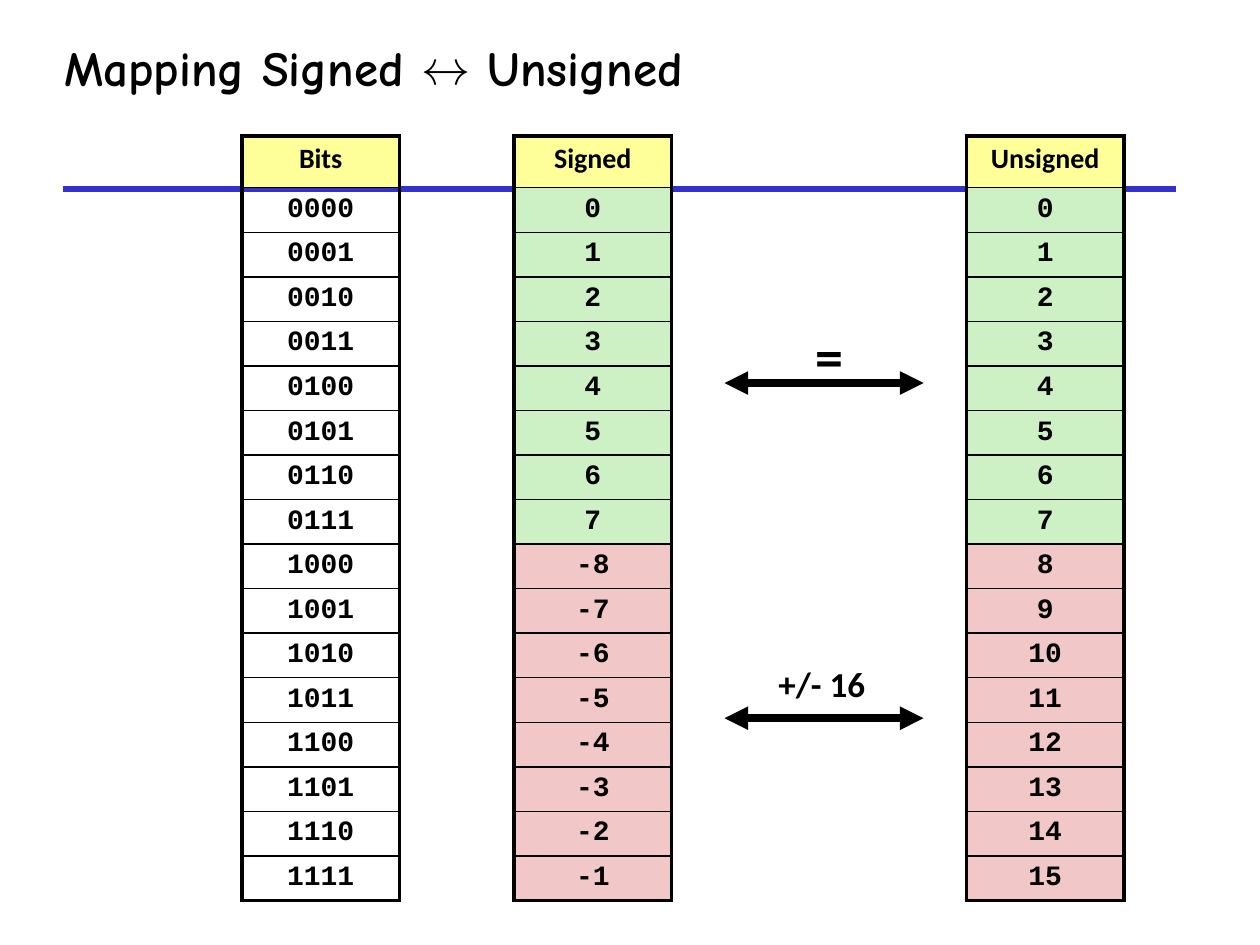
import pptx
import pptx.util
import pptx.oxml
import pptx.oxml.ns
from pptx.dml.color import RGBColor
from pptx.enum.shapes import MSO_CONNECTOR
from pptx.enum.text import MSO_ANCHOR, MSO_AUTO_SIZE, PP_ALIGN
from pptx.util import Inches

BLACK = RGBColor(0x00, 0x00, 0x00)
BLUE = RGBColor(0x33, 0x33, 0xCC)
YELLOW = RGBColor(0xFF, 0xFF, 0x99)
GREEN = RGBColor(0xCD, 0xF1, 0xC5)
PINK = RGBColor(0xF1, 0xC7, 0xC7)
NS = pptx.oxml.ns.nsdecls("a")


def add_run(p, text, size, font):
    r = p.add_run()
    r.text = text
    r.font.size = pptx.util.Pt(size)
    r.font.name = font
    r.font.bold = True
    r.font.color.rgb = BLACK


def add_line(shapes, x1, x2, y, color, width):
    c = shapes.add_connector(MSO_CONNECTOR.STRAIGHT, Inches(x1), Inches(y), Inches(x2), Inches(y))
    c.line.color.rgb = color
    c.line.width = pptx.util.Pt(width)
    c._element.spPr.append(pptx.oxml.parse_xml(f"<a:effectLst {NS}/>"))
    return c


prs = pptx.Presentation()
prs.slide_width, prs.slide_height = Inches(10), Inches(7.5)
s = prs.slides.add_slide(prs.slide_layouts[6])

# Rule behind the tables
add_line(s.shapes, 0.5, 9.33, 1.5, BLUE, 3)

# Title
sp = s.shapes.add_textbox(Inches(0.44), Inches(0.27), Inches(7.46), Inches(0.61))
tf = sp.text_frame
tf.word_wrap = True
tf.margin_left = tf.margin_right = Inches(0.07)
tf.margin_top = tf.margin_bottom = Inches(0.03)
add_run(tf.paragraphs[0], "Mapping Signed ↔ Unsigned", 28, "Comic Neue")

# One single-column table per reading of the four bits
tables = [
    ("Signed", 4.08, [str(n if n < 8 else n - 16) for n in range(16)], (GREEN, PINK)),
    ("Unsigned", 7.67, [str(n) for n in range(16)], (GREEN, PINK)),
    ("Bits", 1.92, [f"{n:04b}" for n in range(16)], (None, None)),
]
for heading, left, values, (low_fill, high_fill) in tables:
    texts = [heading] + values
    last = len(texts) - 1
    tbl = s.shapes.add_table(len(texts), 1, Inches(left), Inches(1.08), Inches(1.25), Inches(6.12)).table
    tbl.first_row = tbl.horz_banding = False
    for i, text in enumerate(texts):
        tbl.rows[i].height = Inches(0.41 if i == 0 else 0.33)
        cell = tbl.cell(i, 0)
        cell.margin_left = cell.margin_right = Inches(0.05)
        cell.margin_top = cell.margin_bottom = Inches(0.05)

        # Heavy outside edges, thin lines between rows
        edges = {"L": 2.25, "R": 2.25, "T": 2.25 if i == 0 else 1, "B": 2.25 if i == last else 1}
        tc_pr = cell._tc.get_or_add_tcPr()
        for side, width in edges.items():
            tc_pr.append(pptx.oxml.parse_xml(
                f'<a:ln{side} {NS} w="{pptx.util.Pt(width)}"><a:solidFill>'
                f'<a:srgbClr val="{BLACK}"/></a:solidFill></a:ln{side}>'))

        fill = YELLOW if i == 0 else low_fill if i <= 8 else high_fill
        if fill is None:
            cell.fill.background()
        else:
            cell.fill.solid()
            cell.fill.fore_color.rgb = fill

        p = cell.text_frame.paragraphs[0]
        p.alignment = PP_ALIGN.CENTER
        p.line_spacing = 0.95
        p.space_before = pptx.util.Pt(0)
        space = p._p.pPr.find(pptx.oxml.ns.qn("a:spcBef"))
        space.remove(space[0])
        space.append(pptx.oxml.parse_xml(f'<a:spcPct {NS} val="50000"/>'))
        add_run(p, text, 16, "Calibri" if i == 0 else "Courier New")

# Double arrows with labels, each pair grouped
relations = [
    ("=", 32, 3.04, (6.42, 2.5, 0.32, 0.64), 0.05, PP_ALIGN.CENTER, MSO_ANCHOR.TOP, MSO_AUTO_SIZE.SHAPE_TO_FIT_TEXT),
    ("+/- 16", 20, 5.7, (6.08, 5.17, 0.57, 0.51), 0.1, PP_ALIGN.LEFT, MSO_ANCHOR.MIDDLE, MSO_AUTO_SIZE.NONE),
]
for label, size, y, box, inset, align, anchor, auto_size in relations:
    group = s.shapes.add_group_shape()
    arrow = add_line(group.shapes, 7.33, 5.75, y, BLACK, 4.5)
    for end in ("headEnd", "tailEnd"):
        arrow.line._get_or_add_ln().append(pptx.oxml.parse_xml(f'<a:{end} {NS} type="triangle"/>'))
    sp = group.shapes.add_textbox(*map(Inches, box))
    tf = sp.text_frame
    tf.word_wrap = False
    tf.auto_size = auto_size
    tf.vertical_anchor = anchor
    tf.margin_left = tf.margin_right = Inches(inset)
    tf.margin_top = tf.margin_bottom = Inches(0.05)
    tf.paragraphs[0].alignment = align
    add_run(tf.paragraphs[0], label, size, "Calibri")

prs.save("out.pptx")
